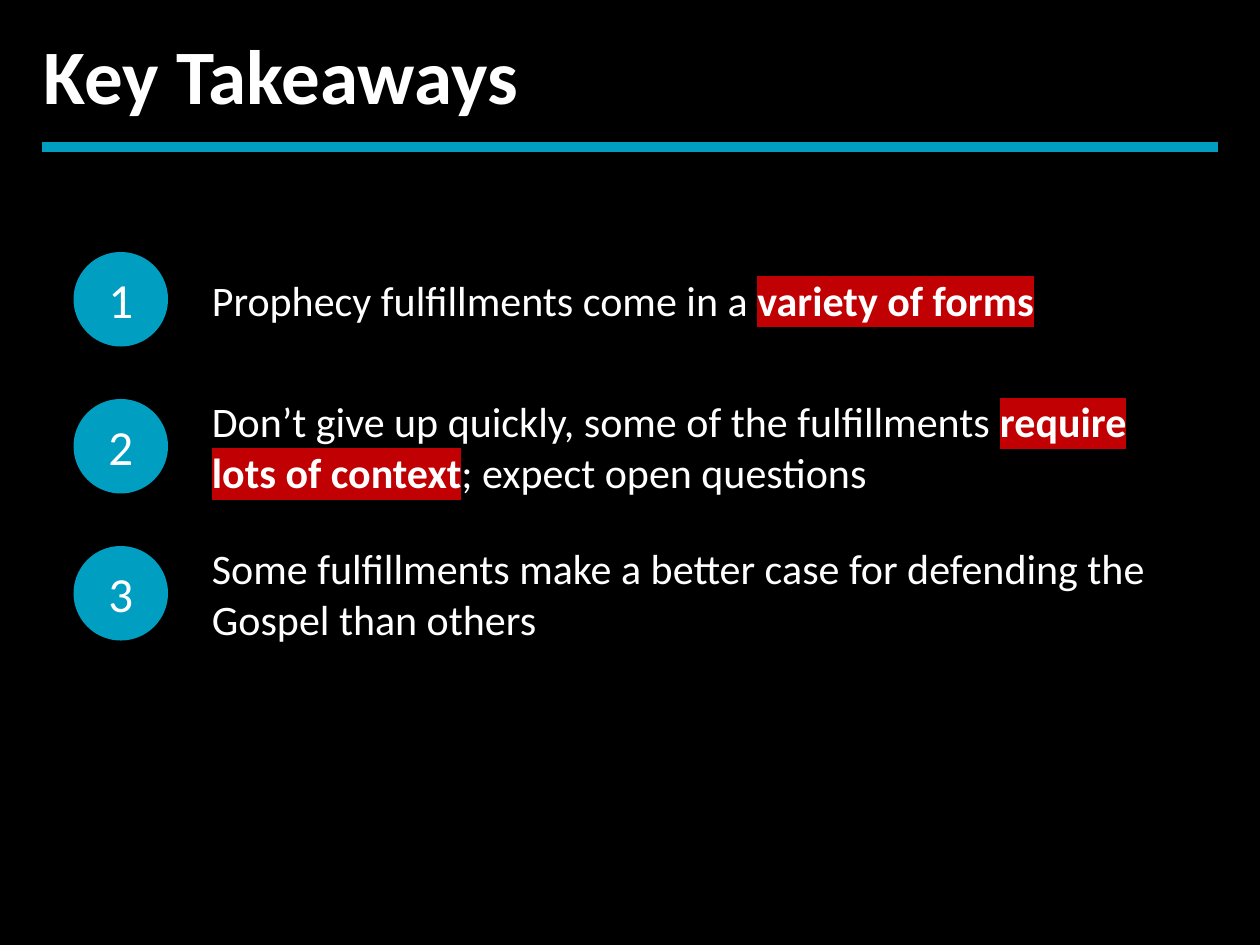
from lxml import etree
from pptx import Presentation
from pptx.dml.color import RGBColor
from pptx.enum import shapes, text
from pptx.oxml.ns import qn
from pptx.util import Pt

TITLE = "Key Takeaways"
TAKEAWAYS = [
    [("Prophecy fulfillments come in a ", False), ("variety of forms", True)],
    [("Don’t give up quickly, some of the fulfillments ", False),
     ("require lots of context", True),
     ("; expect open questions", False)],
    [("Some fulfillments make a better case for defending the Gospel than others", False)],
]
COLORS = {"background": "000000", "text": "FFFFFF", "accent": "009EC0", "highlight": "C00002"}
TITLE_FONT = {"name": "Calibri", "size": Pt(44), "bold": True}
NUMBER_FONT = {"name": "Calibri", "size": Pt(28), "bold": False}
BODY_FONT = {"name": "Calibri", "size": Pt(24), "bold": False}
MIDDLE = {"word_wrap": True, "vertical_anchor": text.MSO_ANCHOR.MIDDLE}
FIRST_TOP, STEP, ROW_HEIGHT = 144, 84, 54
BADGE_LEFT, TEXT_LEFT, TEXT_WIDTH = 42, 114, 558
RULE_LEFT, RULE_RIGHT, RULE_TOP = 24, 696, 84


def rgb(name):
    return RGBColor.from_string(COLORS[name])


def set_all(target, values):
    for name, value in values.items():
        setattr(target, name, value)


def add_run(p, words, font, marked=False):
    r = p.add_run()
    r.text = words
    set_all(r.font, font)
    r.font.color.rgb = rgb("text")
    if marked:
        r.font.bold = True
        highlight = etree.Element(qn("a:highlight"))
        etree.SubElement(highlight, qn("a:srgbClr"), val=COLORS["highlight"])
        r.font._element.find(qn("a:solidFill")).addnext(highlight)


def add_takeaway(s, number, parts):
    top = FIRST_TOP + (number - 1) * STEP
    group = s.shapes.add_group_shape().shapes

    badge = group.add_shape(shapes.MSO_SHAPE.OVAL, Pt(BADGE_LEFT), Pt(top),
                            Pt(ROW_HEIGHT), Pt(ROW_HEIGHT))
    badge.shadow.inherit = False
    badge.fill.solid()
    badge.fill.fore_color.rgb = rgb("accent")
    badge.line.fill.background()
    set_all(badge.text_frame, MIDDLE)
    p = badge.text_frame.paragraphs[0]
    p.alignment = text.PP_ALIGN.CENTER
    add_run(p, str(number), NUMBER_FONT)

    box = group.add_textbox(Pt(TEXT_LEFT), Pt(top), Pt(TEXT_WIDTH), Pt(ROW_HEIGHT))
    set_all(box.text_frame, MIDDLE)
    for words, marked in parts:
        add_run(box.text_frame.paragraphs[0], words, BODY_FONT, marked)


def main():
    prs = Presentation()
    set_all(prs, {"slide_width": Pt(720), "slide_height": Pt(540)})
    s = prs.slides.add_slide(prs.slide_layouts[6])
    s.background.fill.solid()
    s.background.fill.fore_color.rgb = rgb("background")

    title = s.shapes.add_textbox(Pt(18), Pt(12), Pt(678), Pt(60.5))
    set_all(title.text_frame, {"word_wrap": True,
                               "auto_size": text.MSO_AUTO_SIZE.SHAPE_TO_FIT_TEXT})
    add_run(title.text_frame.paragraphs[0], TITLE, TITLE_FONT)

    for number, parts in enumerate(TAKEAWAYS, 1):
        add_takeaway(s, number, parts)

    rule = s.shapes.add_connector(shapes.MSO_CONNECTOR.STRAIGHT, Pt(RULE_LEFT), Pt(RULE_TOP),
                                  Pt(RULE_RIGHT), Pt(RULE_TOP))
    rule.line.color.rgb = rgb("accent")
    rule.line.width = Pt(6)
    etree.SubElement(rule._element.spPr, qn("a:effectLst"))
    prs.save("out.pptx")


if __name__ == "__main__":
    main()
